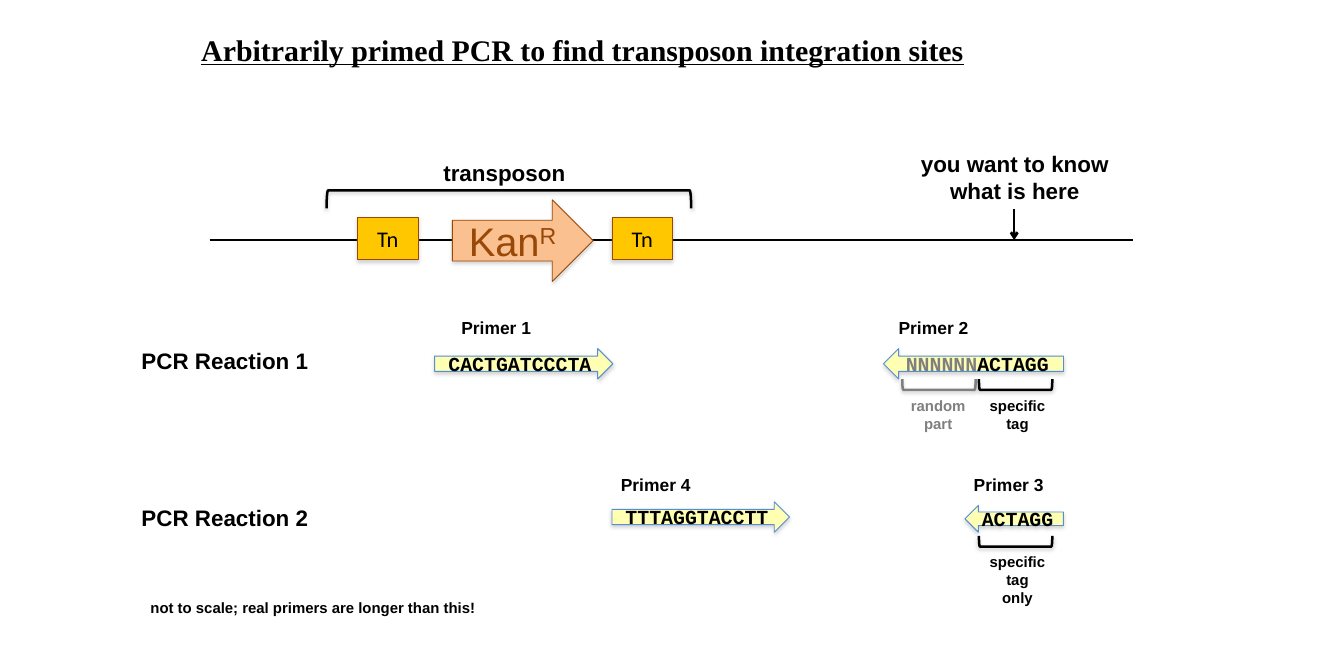
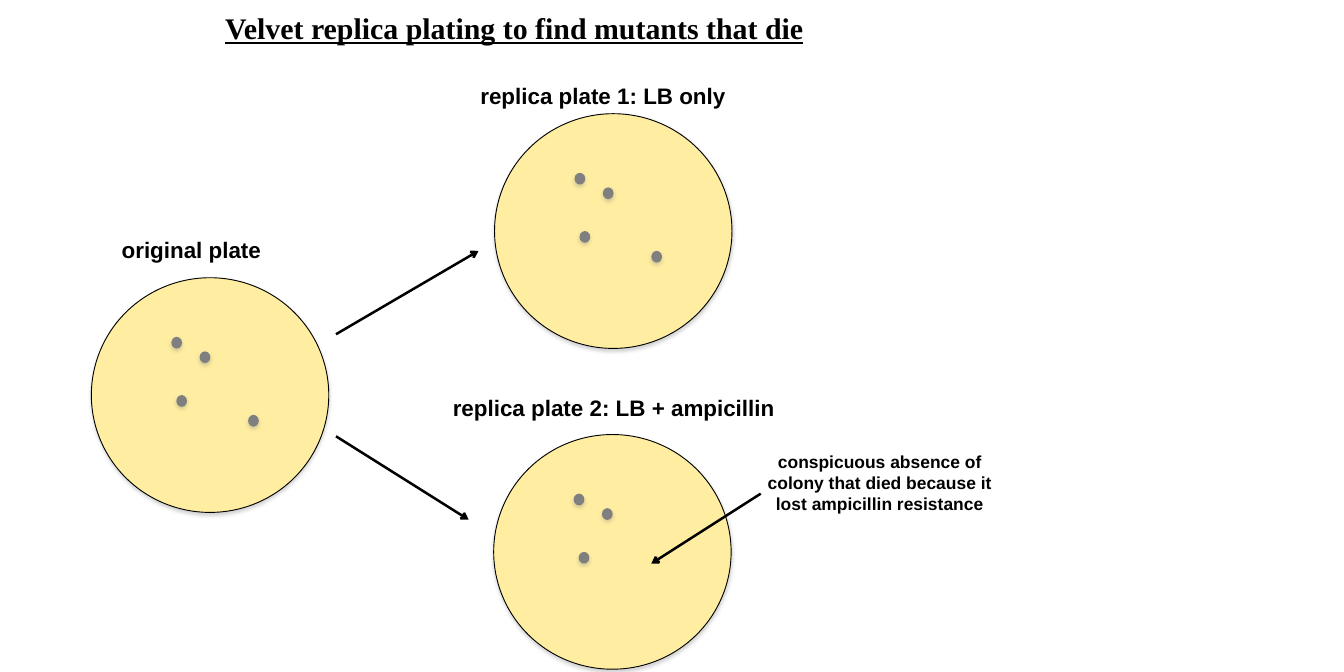
from lxml import etree
from pptx import Presentation
from pptx.dml.color import RGBColor
from pptx.enum.shapes import MSO_CONNECTOR, MSO_SHAPE
from pptx.enum.text import MSO_ANCHOR, MSO_AUTO_SIZE, PP_ALIGN
from pptx.oxml import parse_xml
from pptx.oxml.ns import nsdecls, qn
from pptx.util import Pt

LEFT, CENTER = PP_ALIGN.LEFT, PP_ALIGN.CENTER
TOP = MSO_ANCHOR.TOP
NO_AUTOFIT = MSO_AUTO_SIZE.NONE
STRAIGHT = MSO_CONNECTOR.STRAIGHT
RECT, OVAL = MSO_SHAPE.RECTANGLE, MSO_SHAPE.OVAL
RIGHT_ARROW, LEFT_ARROW = MSO_SHAPE.RIGHT_ARROW, MSO_SHAPE.LEFT_ARROW
OPEN_DOWN, OPEN_UP = MSO_SHAPE.LEFT_BRACKET, MSO_SHAPE.RIGHT_BRACKET

BLACK = RGBColor(0x00, 0x00, 0x00)
GRAY = RGBColor(0x7F, 0x7F, 0x7F)
BROWN = RGBColor(0x98, 0x48, 0x07)
ORANGE = RGBColor(0xFA, 0xC0, 0x90)
GOLD = RGBColor(0xFF, 0xC7, 0x00)
PRIMER_FILL = RGBColor(0xFF, 0xFF, 0xB3)
PRIMER_LINE = RGBColor(0x55, 0x8E, 0xD5)
AGAR = RGBColor(0xFF, 0xEE, 0xA1)

SANS, SERIF, MONO, BODY = "Arial", "Times New Roman", "Courier New", "Calibri"
LABEL_W, LABEL_H = 156.2, 28.8
PLATE_W, PLATE_H = 190.8, 188.6
COLONY_W, COLONY_H = 8.6, 9.4
COLONIES = [(64.3, 47.5), (87, 59.2), (68.3, 94.3), (126, 110.2)]


def style_run(r, size, color=BLACK, font=SANS, bold=True):
    r.font.size = Pt(size)
    r.font.name = font
    r.font.bold = bold
    r.font.color.rgb = color


def write(tf, text, size, color=BLACK, font=SANS, bold=True, align=CENTER):
    tf.text = text
    tf.word_wrap = True
    for p in tf.paragraphs:
        p.alignment = align
        for r in p.runs:
            style_run(r, size, color, font, bold)
    return tf.paragraphs[0]


def add_title(prs, text, x, y, w, h):
    s = prs.slides.add_slide(prs.slide_layouts[5])
    sp = s.shapes.title
    sp.left, sp.top, sp.width, sp.height = Pt(x), Pt(y), Pt(w), Pt(h)
    tf = sp.text_frame
    p = write(tf, text, 24, font=SERIF)
    p.runs[0].font.underline = True
    tf.vertical_anchor = TOP
    tf.auto_size = NO_AUTOFIT
    return s


def add_label(s, text, x, y, w=LABEL_W, h=LABEL_H, size=18, color=BLACK, align=LEFT):
    sp = s.shapes.add_textbox(Pt(x), Pt(y), Pt(w), Pt(h))
    write(sp.text_frame, text, size, color, align=align)


def add_shadow(sp, alpha):
    sp.shadow.inherit = False
    effects = sp._element.spPr.find(qn("a:effectLst"))
    effects.append(parse_xml(
        f'<a:outerShdw {nsdecls("a")} blurRad="38100" dist="22860" dir="5400000" '
        f'rotWithShape="0"><a:srgbClr val="808080"><a:alpha val="{alpha}000"/>'
        '</a:srgbClr></a:outerShdw>'))


def add_block(s, kind, x, y, w, h, fill, line=None):
    sp = s.shapes.add_shape(kind, Pt(x), Pt(y), Pt(w), Pt(h))
    sp.fill.solid()
    sp.fill.fore_color.rgb = fill
    if line is None:
        sp.line.fill.background()
    else:
        sp.line.color.rgb = line
        sp.line.width = Pt(0.75)
    add_shadow(sp, 35)
    return sp


def add_line(s, x1, y1, x2, y2, arrow=True):
    c = s.shapes.add_connector(STRAIGHT, Pt(x1), Pt(y1), Pt(x2), Pt(y2))
    c.line.color.rgb = BLACK
    c.line.width = Pt(2)
    if arrow:
        etree.SubElement(c.line._get_or_add_ln(), qn("a:tailEnd"), type="arrow")
    etree.SubElement(c._element.spPr, qn("a:effectLst"))


def add_bracket(s, kind, x, y, w, h, color=BLACK):
    left, top = x + (w - h) / 2, y - (w - h) / 2
    sp = s.shapes.add_shape(kind, Pt(left), Pt(top), Pt(h), Pt(w))
    sp.rotation = 90
    sp.fill.background()
    sp.line.color.rgb = color
    sp.line.width = Pt(2)
    add_shadow(sp, 38)


def add_transposon(s, x, y):
    axis = y + 68.4
    add_line(s, x, axis, x + 742.3, axis, arrow=False)
    sp = add_block(s, RIGHT_ARROW, x + 195.1, axis - 32.4, 113, 65.5, ORANGE, BROWN)
    p = write(sp.text_frame, "Kan", 32, BROWN, bold=False)
    r = p.add_run()
    r.text = "R"
    style_run(r, 32, BROWN, bold=False)
    r._r.get_or_add_rPr().set("baseline", "30000")
    for left in (118.8, 323.3):
        sp = add_block(s, RECT, x + left, axis - 18, 48.6, 33.8, GOLD, BROWN)
        write(sp.text_frame, "Tn", 18, font=BODY, bold=False)
    add_bracket(s, OPEN_DOWN, x + 93.9, y + 28.4, 293, 14.4)
    add_label(s, "transposon", x + 180.7, y)
    add_label(s, "you want to know what is here", x + 555.1, y - 7.2, 183.6, 50.4,
              align=CENTER)
    add_line(s, x + 646.5, y + 43.2, x + 646.5, axis)


def add_primer(s, name, name_x, kind, x, y, w, h, bases, random_part=""):
    add_label(s, name, name_x, y, h=24.5, size=14)
    dy = 25.9 if name == "Primer 4" else 28.8
    sp = add_block(s, kind, x, y + dy, w, h, PRIMER_FILL, PRIMER_LINE)
    p = write(sp.text_frame, random_part or bases, 16,
              GRAY if random_part else BLACK, MONO)
    if random_part:
        r = p.add_run()
        r.text = bases
        style_run(r, 16, font=MONO)


def add_tag(s, text, x, y, text_x, w, h, color=BLACK):
    add_bracket(s, OPEN_UP, x, y + 53.3, 59, 8.6, color)
    add_label(s, text, text_x, y + 63.6, w, h, 12, color, CENTER)


def add_reaction(s, x, y, name, primers, tags):
    add_label(s, name, x, y + 24)
    for label, label_dx, kind, dx, *rest in primers:
        add_primer(s, label, x + label_dx, kind, x + dx, y, *rest)
    for text, dx, text_dx, *rest in tags:
        add_tag(s, text, x + dx, y, x + text_dx, *rest)


def add_plate(s, x, y, colonies):
    add_block(s, OVAL, x, y, PLATE_W, PLATE_H, AGAR, BLACK)
    for dx, dy in colonies:
        add_block(s, OVAL, x + dx, y + dy, COLONY_W, COLONY_H, GRAY)


def build_pcr_slide(prs):
    s = add_title(prs, "Arbitrarily primed PCR to find transposon integration sites",
                  128.2, 21.6, 679.7, 64.8)
    add_transposon(s, 168.5, 124.6)
    add_reaction(
        s, 106.6, 251.3, "PCR Reaction 1",
        [("Primer 1", 257, RIGHT_ARROW, 242.6, 143.3, 24.5, "CACTGATCCCTA"),
         ("Primer 2", 608.4, LEFT_ARROW, 603.3, 144.7, 24.5, "ACTAGG", "NNNNNN")],
        [("random part", 618.4, 608.4, 77.8, 36, GRAY),
         ("specific\ntag", 680, 680.4, 61.2, 36)])
    add_reaction(
        s, 106.6, 377.3, "PCR Reaction 2",
        [("Primer 4", 385.2, RIGHT_ARROW, 385.2, 142.6, 24.5, "TTTAGGTACCTT"),
         ("Primer 3", 668.8, LEFT_ARROW, 668.8, 79.2, 21.6, "ACTAGG")],
        [("specific\ntag\nonly", 680, 680.4, 61.2, 50.4)])
    add_label(s, "not to scale; real primers are longer than this!",
              113.8, 477.4, 282.2, 21.6, 12)


def build_plating_slide(prs):
    s = add_title(prs, "Velvet replica plating to find mutants that die",
                  73.4, 4.3, 679.7, 36)
    add_plate(s, 73.4, 223.2, COLONIES)
    add_plate(s, 397.4, 91.4, COLONIES)
    add_plate(s, 396.7, 349.2, COLONIES[:3])
    add_label(s, "original plate", 90.7, 185.8)
    add_label(s, "replica plate 1: LB only", 365, 62.6, 239, align=CENTER)
    add_label(s, "replica plate 2: LB + ampicillin", 334, 313.2, 318.2, align=CENTER)
    add_line(s, 611.3, 396.7, 523.4, 452.9)
    add_label(s, "conspicuous absence of colony that died because it lost "
              "ampicillin resistance", 604, 359.3, 206, 57.6, 14, align=CENTER)
    add_line(s, 270, 268.6, 384.5, 201.6)
    add_line(s, 270, 350.6, 376.6, 417.6)


def main():
    prs = Presentation()
    prs.slide_width, prs.slide_height = Pt(1080), Pt(540)
    build_pcr_slide(prs)
    build_plating_slide(prs)
    prs.save("out.pptx")


if __name__ == "__main__":
    main()
